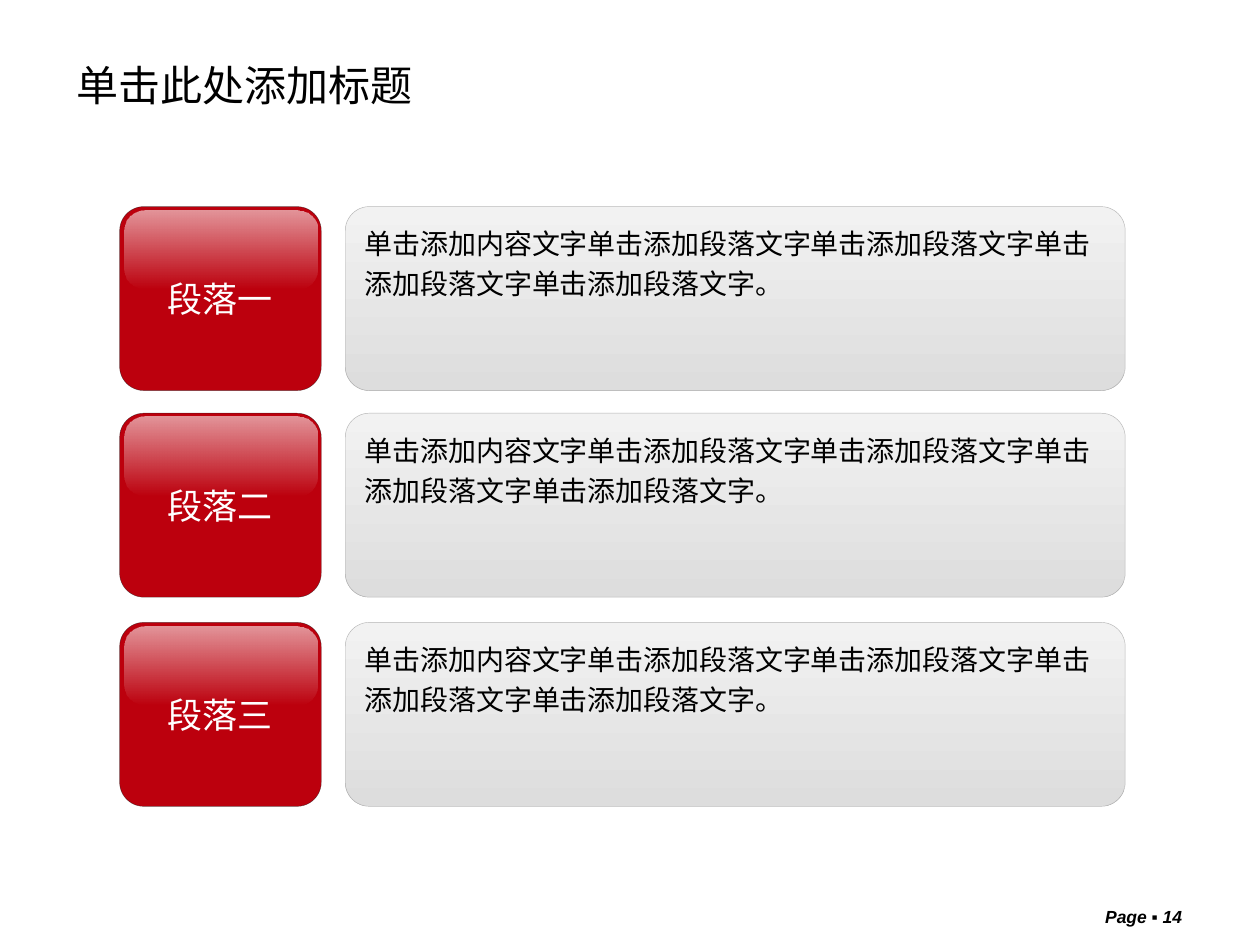
from lxml import etree
from pptx import Presentation
from pptx import util as u
from pptx.dml.color import RGBColor
from pptx.enum import shapes, text
from pptx.oxml import ns

COLORS = {
    "black": "000000", "white": "FFFFFF", "red": "BC000D",
    "red_edge": "1C1C1C", "panel_top": "F2F2F2", "panel_bottom": "DDDDDD",
    "panel_edge": "969696",
}
FONT = "Arial"
BODY = "单击添加内容文字" + "单击添加段落文字" * 4 + "。"
ROWS = [("段落一", 1.64), ("段落二", 3.28), ("段落三", 4.94)]
ROW_HEIGHT = 1.46


def rgb(name):
    return RGBColor.from_string(COLORS[name])


def set_alpha(colour_parent, percents):
    """Give each colour inside an element its opacity, in order."""
    for clr, percent in zip(colour_parent.iter(ns.qn("a:srgbClr")), percents):
        etree.SubElement(clr, ns.qn("a:alpha")).set("val", str(percent * 1000))


def set_gradient(shape, *names):
    shape.fill.gradient()
    shape.fill.gradient_angle = 270
    for stop, name in zip(shape.fill.gradient_stops, names):
        stop.color.rgb = rgb(name)


def set_line(shape, name, opacity):
    shape.line.width = u.Pt(0.25)
    shape.line.color.rgb = rgb(name)
    set_alpha(shape.line._ln, [opacity])


def write(shape, content, color="black", anchor=text.MSO_ANCHOR.TOP,
          align=text.PP_ALIGN.LEFT, spacing=None, **font):
    tf = shape.text_frame
    tf.word_wrap = True
    tf.vertical_anchor = anchor
    p = tf.paragraphs[0]
    p.alignment = align
    if spacing:
        p.line_spacing = spacing
    r = p.add_run()
    r.text = content
    for key, value in {"name": FONT, **font}.items():
        setattr(r.font, key, value)
    r.font.color.rgb = rgb(color)


def add_text(s, box, content, **fmt):
    write(s.shapes.add_textbox(*map(u.Inches, box)), content, **fmt)


def add_round(parent, box, radius):
    sp = parent.shapes.add_shape(
        shapes.MSO_SHAPE.ROUNDED_RECTANGLE, *map(u.Inches, box))
    sp.adjustments[0] = radius
    sp.shadow.inherit = False
    return sp


def add_button(s, top, label):
    """Red button with a glossy highlight, as one group."""
    group = s.shapes.add_group_shape()
    base = add_round(group, (0.95, top, 1.6, ROW_HEIGHT), 0.131)
    base.fill.solid()
    base.fill.fore_color.rgb = rgb("red")
    set_line(base, "red_edge", 57)
    write(base, label, color="white", size=u.Pt(20),
          anchor=text.MSO_ANCHOR.MIDDLE, align=text.PP_ALIGN.CENTER)

    gloss = add_round(group, (0.99, top + 0.03, 1.53, 0.62), 0.256)
    gloss.rotation = 180
    set_gradient(gloss, "white", "white")
    set_alpha(gloss._element.spPr, [0, 59])
    gloss.line.fill.background()


def add_panel(s, top, content):
    panel = add_round(s, (2.74, top, 6.19, ROW_HEIGHT), 0.131)
    set_gradient(panel, "panel_top", "panel_bottom")
    set_line(panel, "panel_edge", 68)
    write(panel, content, size=u.Pt(16), spacing=1.2)


def main():
    prs = Presentation()
    prs.slide_width, prs.slide_height = u.Inches(10), u.Inches(7.5)
    s = prs.slides.add_slide(prs.slide_layouts[6])

    # Page number and title
    add_text(s, (7.91, 7.14, 1.57, 0.22), "Page ▪ 14", size=u.Pt(10),
             bold=True, italic=True, align=text.PP_ALIGN.RIGHT)
    add_text(s, (0.51, 0.35, 6.38, 0.65), "单击此处添加标题", size=u.Pt(24),
             anchor=text.MSO_ANCHOR.MIDDLE)

    # Paragraph rows
    for label, top in ROWS:
        add_button(s, top, label)
        add_panel(s, top, BODY)

    prs.save("out.pptx")


if __name__ == "__main__":
    main()
